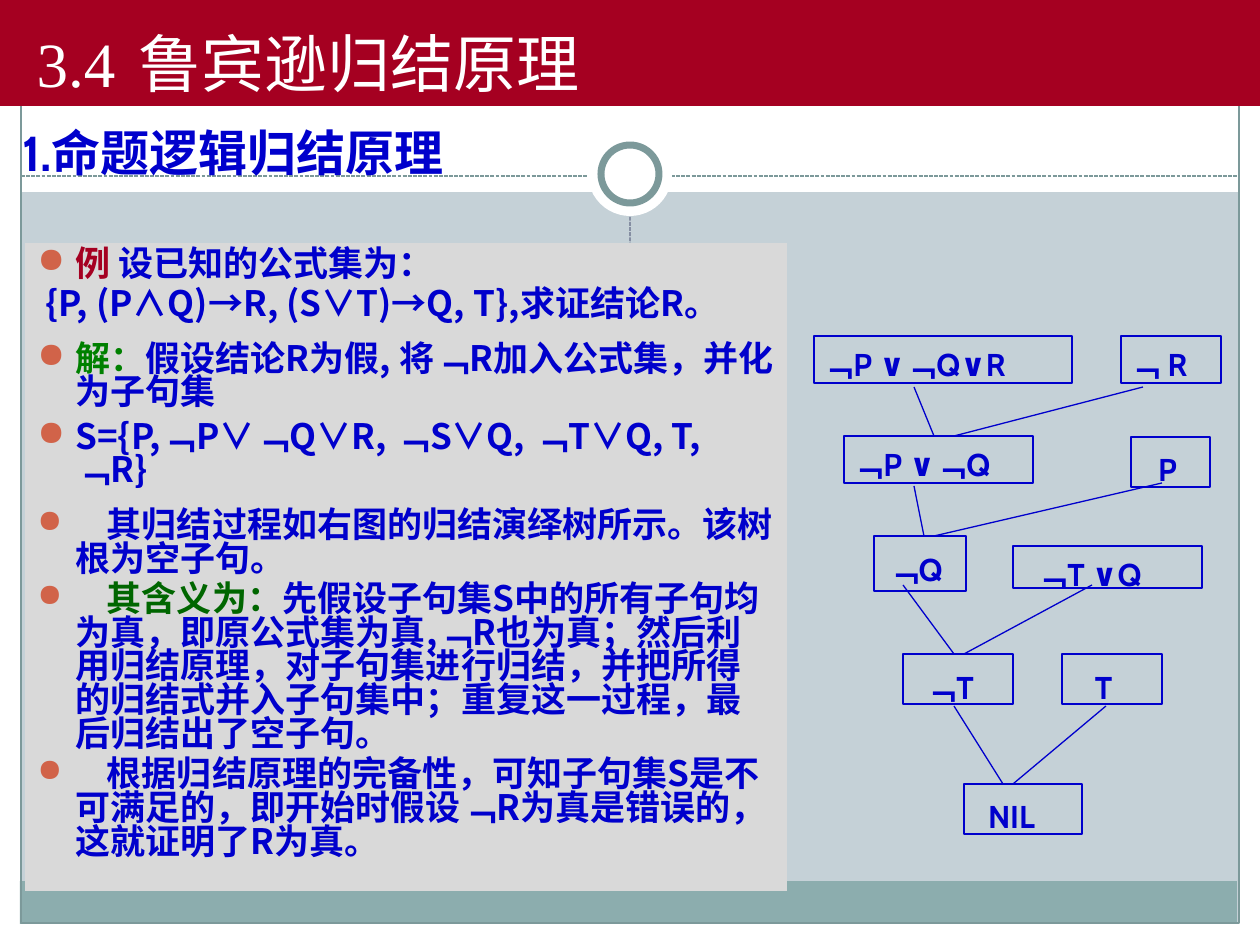
import dataclasses

import pptx
import pptx.dml.color
import pptx.enum.dml
import pptx.enum.shapes
import pptx.enum.text
import pptx.oxml.ns
import pptx.util
from lxml import etree

SHAPE = pptx.enum.shapes.MSO_SHAPE
ANCHOR = pptx.enum.text.MSO_ANCHOR
DASH = pptx.enum.dml.MSO_LINE.SQUARE_DOT
EMU_PER_PX = 914400 / 126


def px(length):
    return pptx.util.Emu(round(length * EMU_PER_PX))


def rgb(value):
    return pptx.dml.color.RGBColor.from_string(value)


def add_xml(parent, tag, **attributes):
    return etree.SubElement(parent, pptx.oxml.ns.qn(tag), attributes)


@dataclasses.dataclass(frozen=True)
class Theme:
    backdrop: str = "C5D1D7"
    white: str = "FFFFFF"
    footer: str = "8CADAE"
    frame: str = "7C999A"
    stem: str = "646B86"
    panel: str = "D9D9D9"
    crimson: str = "A50021"
    blue: str = "0000CC"
    green: str = "008000"
    dark_green: str = "006600"
    bullet: str = "D16349"
    cjk: str = "Noto Sans CJK SC"
    latin: str = "Cabin"
    serif: str = "Times New Roman"
    title_size: int = 36
    heading_size: int = 28
    body_size: int = 20
    indent_size: int = 18
    node_size: int = 18
    hairline: float = 0.75


class SlideBuilder:
    def __init__(self, slide, theme):
        self.slide = slide
        self.theme = theme
        slide.background.fill.solid()
        slide.background.fill.fore_color.rgb = rgb(theme.backdrop)

    def set_line(self, line, color, width=None, dash=None):
        line.color.rgb = rgb(color)
        line.width = pptx.util.Pt(width or self.theme.hairline)
        if dash:
            line.dash_style = dash

    def shape(self, box, fill=None, line=None, width=None, kind=SHAPE.RECTANGLE):
        outline = self.slide.shapes.add_shape(kind, *map(px, box))
        outline.shadow.inherit = False
        if fill:
            outline.fill.solid()
            outline.fill.fore_color.rgb = rgb(fill)
        else:
            outline.fill.background()
        if line:
            self.set_line(outline.line, line, width)
        else:
            outline.line.fill.background()
        return outline

    def connector(self, start, end, color, dash=None):
        link = self.slide.shapes.add_connector(
            pptx.enum.shapes.MSO_CONNECTOR.STRAIGHT, *map(px, (*start, *end)))
        self.set_line(link.line, color, dash=dash)
        add_xml(link._element.spPr, "a:effectLst")

    def frame(self, holder, **settings):
        """Reset a text frame, apply the settings and return it."""
        text_frame = holder.text_frame
        defaults = {"word_wrap": True, "vertical_anchor": ANCHOR.TOP,
                    "auto_size": pptx.enum.text.MSO_AUTO_SIZE.NONE}
        for name, value in {**defaults, **settings}.items():
            setattr(text_frame, name, value)
        return text_frame

    def paragraph(self, paragraph, spacing, before=0):
        values = {"alignment": pptx.enum.text.PP_ALIGN.LEFT, "line_spacing": spacing,
                  "space_before": pptx.util.Pt(before)}
        for name, value in values.items():
            setattr(paragraph, name, value)
        return paragraph

    def run(self, paragraph, text, size, color, font, bold=True):
        run = paragraph.add_run()
        run.text = text
        for name, value in {"size": pptx.util.Pt(size), "bold": bold, "name": font}.items():
            setattr(run.font, name, value)
        run.font.color.rgb = rgb(color)
        add_xml(run._r.get_or_add_rPr(), "a:ea", typeface=self.theme.cjk)

    def title(self, box, number, words):
        theme = self.theme
        title = self.slide.shapes.title
        title.left, title.top, title.width, title.height = map(px, box)
        title.fill.solid()
        title.fill.fore_color.rgb = rgb(theme.crimson)
        paragraph = self.frame(title, vertical_anchor=ANCHOR.BOTTOM).paragraphs[0]
        self.paragraph(paragraph, 1.2)
        properties = paragraph._p.get_or_add_pPr()
        properties.set("indent", str(px(24)))
        add_xml(add_xml(properties, "a:tabLst"), "a:tab", pos=str(px(148)), algn="l")
        self.run(paragraph, f"{number}\t{words}", theme.title_size, theme.white,
                 theme.serif, bold=False)
        title._element.getparent().append(title._element)  # bring the banner to the front

    def heading(self, box, text):
        theme = self.theme
        holder = self.slide.shapes.add_textbox(*map(px, box))
        paragraph = self.paragraph(self.frame(holder).paragraphs[0], 1.2)
        self.run(paragraph, text, theme.heading_size, theme.blue, theme.latin)

    def body(self, box, items):
        theme = self.theme
        text_frame = self.frame(self.shape(box, theme.panel))
        for index, (before, bulleted, runs) in enumerate(items):
            paragraph = text_frame.add_paragraph() if index else text_frame.paragraphs[0]
            properties = paragraph._p.get_or_add_pPr()
            properties.set("marL", str(px(38)))
            properties.set("indent", str(px(-38 if bulleted else -30)))
            if bulleted:
                add_xml(add_xml(properties, "a:buClr"), "a:srgbClr", val=theme.bullet)
                add_xml(properties, "a:buChar", char="●")
            else:
                add_xml(properties, "a:buNone")
            self.paragraph(paragraph, 0.8, before)
            for text, color in runs:
                size = theme.indent_size if text == INDENT else theme.body_size
                self.run(paragraph, text, size, color, theme.cjk)

    def node(self, box, text, left, top):
        """Draw one clause of the tree; left and top are the text insets."""
        theme = self.theme
        clause = self.shape(box, line=theme.blue)
        text_frame = self.frame(clause, margin_left=px(left), margin_top=px(top),
                                margin_right=0, margin_bottom=px(1))
        paragraph = self.paragraph(text_frame.paragraphs[0], 1.2)
        self.run(paragraph, text, theme.node_size, theme.blue, theme.latin)


THEME = Theme()
INDENT = "　"
BLUE = THEME.blue
PROOF = [
    (0, True, [("例 ", THEME.crimson), ("设已知的公式集为：", BLUE)]),
    (4, False, [("{P, (P∧Q)→R, (S∨T)→Q, T},求证结论R。", BLUE)]),
    (12, True, [("解：", THEME.green),
                ("假设结论R为假, 将﹁R加入公式集，并化为子句集", BLUE)]),
    (6, True, [("S={P,﹁P∨﹁Q∨R, ﹁S∨Q, ﹁T∨Q, T, ﹁R}", BLUE)]),
    (12, True, [(INDENT, BLUE),
                ("其归结过程如右图的归结演绎树所示。该树根为空子句。", BLUE)]),
    (4, True, [(INDENT, BLUE), ("其含义为：", THEME.dark_green),
               ("先假设子句集S中的所有子句均为真，即原公式集为真,﹁R也为真；"
                "然后利用归结原理，对子句集进行归结，并把所得的归结式并入子句集中；"
                "重复这一过程，最后归结出了空子句。", BLUE)]),
    (4, True, [(INDENT, BLUE),
               ("根据归结原理的完备性，可知子句集S是不可满足的，"
                "即开始时假设﹁R为真是错误的，这就证明了R为真。", BLUE)]),
]
CLAUSES = [
    ((814, 336, 258, 47), "﹁P ∨﹁Q∨R", 8, 1),
    ((1121, 336, 100, 47), "﹁ R", 8, 1),
    ((844, 436, 189, 47), "﹁P ∨﹁Q", 8, 1),
    ((1131, 437, 79, 50), "P", 27, 6),
    ((874, 536, 92, 55), "﹁Q", 13, 6),
    ((1013, 546, 189, 42), "﹁T ∨Q", 23, 1),
    ((903, 654, 110, 50), "﹁T", 22, 6),
    ((1062, 654, 100, 50), "T", 33, 6),
    ((964, 784, 118, 50), "NIL", 24, 6),
]
RESOLUTIONS = [
    ((914, 387), (934, 436)), ((1143, 387), (954, 436)),
    ((914, 486), (924, 536)), ((1162, 483), (934, 536)),
    ((903, 585), (954, 654)), ((1092, 585), (964, 654)),
    ((954, 706), (1003, 784)), ((1106, 706), (1013, 784)),
]
MARGINS = [(0, 924, 1260, 21), (0, 0, 1260, 192), (0, 0, 21, 945), (1239, 0, 21, 945)]


def main():
    deck = pptx.Presentation()
    deck.slide_width, deck.slide_height = px(1260), px(945)
    builder = SlideBuilder(deck.slides.add_slide(deck.slide_layouts[5]), THEME)

    for margin in MARGINS:
        builder.shape(margin, THEME.white)
    builder.shape((20, 881, 1217, 43), THEME.footer)
    builder.shape((21, 21, 1218, 902), line=THEME.frame)
    builder.connector((21, 176), (1239, 176), THEME.frame, DASH)
    builder.shape((588, 132, 84, 84), THEME.white, kind=SHAPE.OVAL)
    builder.shape((601, 145, 58, 58), THEME.white, THEME.frame, 4, SHAPE.OVAL)
    builder.connector((629, 881), (630, 217), THEME.stem, DASH)

    builder.body((25, 243, 762, 648), PROOF)
    for clause in CLAUSES:
        builder.node(*clause)
    for start, end in RESOLUTIONS:
        builder.connector(start, end, BLUE)
    builder.heading((10, 105, 591, 83), "1.命题逻辑归结原理")
    builder.title((0, 0, 1260, 106), "3.4", "鲁宾逊归结原理")
    deck.save("out.pptx")


if __name__ == "__main__":
    main()
